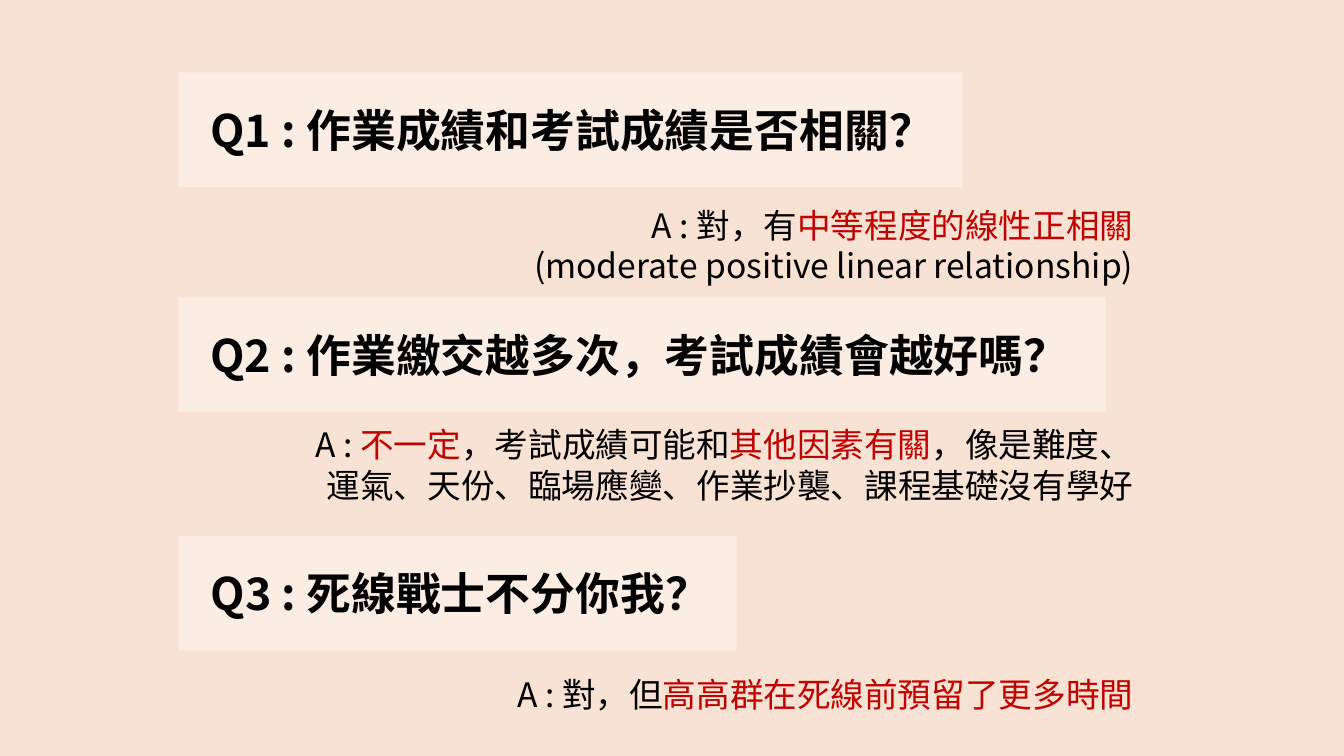
"""Builds a slide of three questions about homework and exam grades, each with its answer."""
from dataclasses import dataclass

from pptx import Presentation
from pptx import util as u
from pptx.dml.color import RGBColor
from pptx.enum import shapes, text
from pptx.oxml.ns import qn
from lxml import etree


@dataclass(frozen=True)
class Theme:
    font: str = "Noto Sans CJK TC"
    backdrop: str = "F8E2D3"
    band: str = "FFFFFF"
    band_opacity: int = 40
    ink: str = "000000"
    accent: str = "C00000"
    question_size: int = 32
    answer_size: int = 24


WIDTH, HEIGHT = 960, 540
BAND_LEFT, BAND_HEIGHT = 127.4, 82.1
QUESTION_LEFT, QUESTION_INSET, QUESTION_HEIGHT = 143.3, 18, 46
ANSWER_RIGHT = 816.5


def add_run(paragraph, words, *, font, size, color, bold=False):
    run = paragraph.add_run()
    run.text = words
    run.font.name = font
    run.font.size = u.Pt(size)
    run.font.bold = bold
    run.font.color.rgb = RGBColor.from_string(color)
    etree.SubElement(run.font._element, qn("a:ea"), typeface=font)


class Sheet:
    def __init__(self, slide, theme):
        self.slide = slide
        self.theme = theme

    def panel(self, left, top, width, height, color, opacity=100):
        panel = self.slide.shapes.add_shape(
            shapes.MSO_SHAPE.RECTANGLE, u.Pt(left), u.Pt(top), u.Pt(width), u.Pt(height))
        panel.shadow.inherit = False
        panel.line.fill.background()
        panel.fill.solid()
        panel.fill.fore_color.rgb = RGBColor.from_string(color)
        if opacity < 100:
            tint = panel._element.spPr.find(".//" + qn("a:srgbClr"))
            etree.SubElement(tint, qn("a:alpha"), val=str(opacity * 1000))

    def words(self, left, top, width, height, parts, size, bold=False, align=text.PP_ALIGN.LEFT):
        frame = self.slide.shapes.add_textbox(
            u.Pt(left), u.Pt(top), u.Pt(width), u.Pt(height)).text_frame
        frame.word_wrap = True
        frame.auto_size = text.MSO_AUTO_SIZE.SHAPE_TO_FIT_TEXT
        paragraph = frame.paragraphs[0]
        paragraph.alignment = align
        for words, color in parts:
            add_run(paragraph, words, font=self.theme.font, size=size, color=color, bold=bold)

    def question(self, top, band_width, question_width, question):
        theme = self.theme
        self.panel(BAND_LEFT, top, band_width, BAND_HEIGHT, theme.band, theme.band_opacity)
        self.words(QUESTION_LEFT, top + QUESTION_INSET, question_width, QUESTION_HEIGHT,
                   [(question, theme.ink)], theme.question_size, bold=True)

    def answer(self, top, width, height, parts):
        self.words(ANSWER_RIGHT - width, top, width, height, parts,
                   self.theme.answer_size, align=text.PP_ALIGN.RIGHT)


def main():
    deck = Presentation()
    deck.slide_width, deck.slide_height = u.Pt(WIDTH), u.Pt(HEIGHT)
    theme = Theme()
    sheet = Sheet(deck.slides.add_slide(deck.slide_layouts[6]), theme)
    sheet.panel(0, 0, WIDTH, HEIGHT, theme.backdrop)

    ink, accent = theme.ink, theme.accent
    sheet.question(51.8, 560.2, 535.7, "Q1 : 作業成績和考試成績是否相關？")
    sheet.answer(142.6, 472.3, 65.5, [
        ("A : 對，有", ink),
        ("中等程度的線性正相關 ", accent),
        ("(moderate positive linear relationship)", ink)])

    sheet.question(212.4, 662.4, 622.1, "Q2 : 作業繳交越多次，考試成績會越好嗎？")
    sheet.answer(299.5, 601.9, 65.5, [
        ("A : ", ink),
        ("不一定", accent),
        ("，考試成績可能和", ink),
        ("其他因素有關", accent),
        ("，像是難度、運氣、天份、臨場應變、作業抄襲、課程基礎沒有學好", ink)])

    sheet.question(382.7, 398.9, 452.2, "Q3 : 死線戰士不分你我？")
    sheet.answer(478.1, 472.3, 36, [
        ("A : 對，但", ink),
        ("高高群在死線前預留了更多時間", accent)])

    deck.save("out.pptx")


if __name__ == "__main__":
    main()
